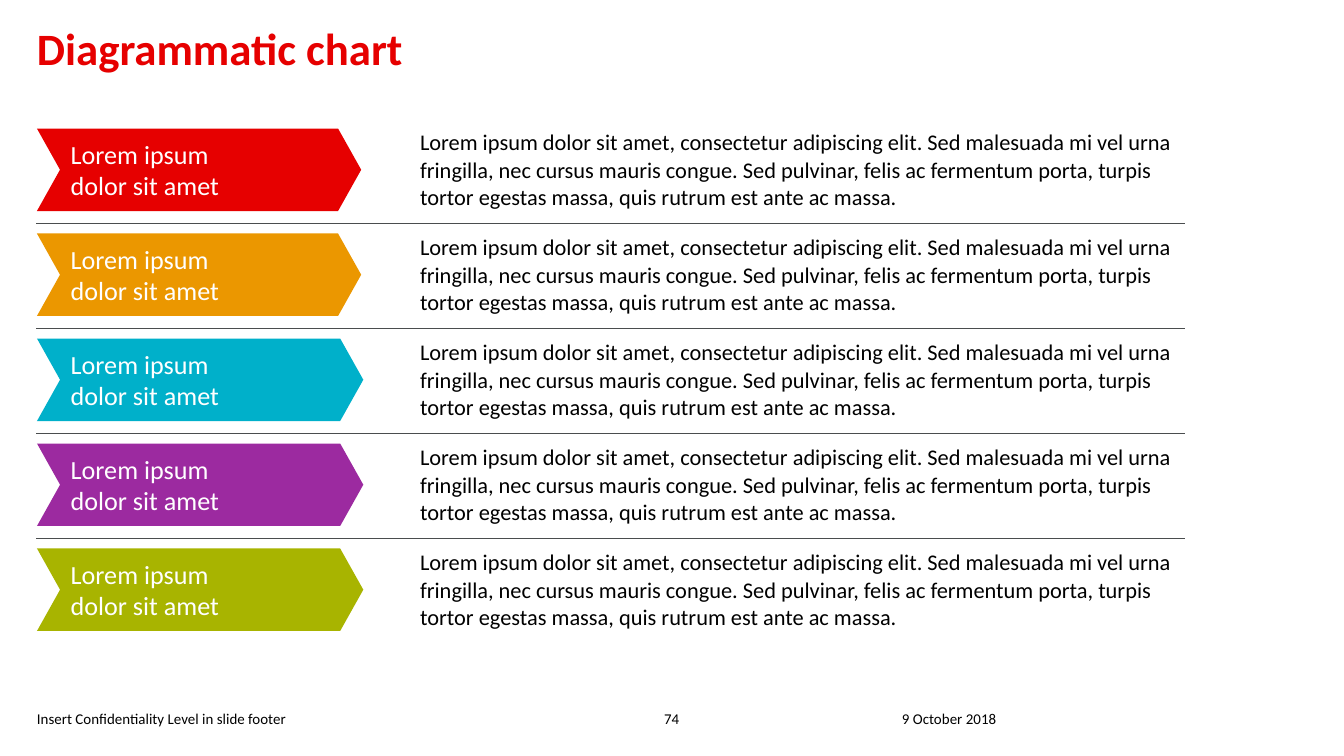
from dataclasses import dataclass

from lxml.etree import SubElement
from pptx import Presentation
from pptx.dml.color import RGBColor
from pptx.enum.shapes import MSO_SHAPE
from pptx.enum.text import MSO_ANCHOR, MSO_AUTO_SIZE, PP_ALIGN
from pptx.oxml.ns import qn
from pptx.util import Pt


@dataclass(frozen=True)
class Theme:
    """Colours, type sizes and font of the slide."""

    font: str = "Calibri"
    title_color: str = "E60000"
    text_color: str = "000000"
    label_color: str = "FFFFFF"
    rule_color: str = "4A4D4E"
    chevron_colors: tuple = ("E60000", "EB9700", "00B0CA", "9C2AA0", "A8B400")
    title_size: float = 24
    label_size: float = 14
    body_size: float = 12
    footer_size: float = 8
    rule_width: float = 0.5


class SlideBuilder:
    """Adds styled elements to one slide, with lengths in points."""

    def __init__(self, slide, theme):
        """Keep the slide and its theme."""
        self.slide = slide
        self.theme = theme

    def fill_text(self, text_frame, text, size, color, anchor, margins, align=PP_ALIGN.LEFT, bold=False):
        """Fill a text frame with one styled paragraph and return it."""
        text_frame.word_wrap = True
        text_frame.auto_size = MSO_AUTO_SIZE.NONE
        text_frame.vertical_anchor = anchor
        (text_frame.margin_left, text_frame.margin_top,
         text_frame.margin_right, text_frame.margin_bottom) = map(Pt, margins)
        paragraph = text_frame.paragraphs[0]
        paragraph.text = text
        paragraph.alignment = align
        self.style(paragraph, size, color, bold)
        return paragraph

    def style(self, paragraph, size, color, bold=False):
        """Set the font of a paragraph."""
        font = paragraph.font
        font.name = self.theme.font
        font.size = Pt(size)
        font.bold = bold
        font.color.rgb = RGBColor.from_string(color)

    def title(self, text, left, top, width, height):
        """Place and fill the title placeholder."""
        title = self.slide.shapes.title
        title.left, title.top, title.width, title.height = map(Pt, (left, top, width, height))
        paragraph = self.fill_text(title.text_frame, text, self.theme.title_size, self.theme.title_color,
                                   MSO_ANCHOR.TOP, (0, 0, 0, 0), bold=True)
        paragraph.line_spacing = 0.8

    def footer(self, text, left, width, align=PP_ALIGN.LEFT):
        """Add a text box on the footer line."""
        box = self.slide.shapes.add_textbox(Pt(left), Pt(370.8), Pt(width), Pt(18.7))
        self.fill_text(box.text_frame, text, self.theme.footer_size, self.theme.text_color,
                       MSO_ANCHOR.BOTTOM, (0, 0, 0, 0), align)

    def rule(self, cell, side):
        """Draw one border of a table cell."""
        line = SubElement(cell._tc.get_or_add_tcPr(), qn(f"a:{side}"), w=str(Pt(self.theme.rule_width)))
        fill = SubElement(line, qn("a:solidFill"))
        SubElement(fill, qn("a:srgbClr"), val=self.theme.rule_color)

    def table(self, texts, left, top, column_widths, row_height):
        """Add a table with an empty first column and rules between rows."""
        count = len(texts)
        frame = self.slide.shapes.add_table(count, len(column_widths), Pt(left), Pt(top),
                                            Pt(sum(column_widths)), Pt(row_height * count))
        table = frame.table
        table.first_row = table.horz_banding = False
        for column, width in zip(table.columns, column_widths):
            column.width = Pt(width)
        for index, (row, text) in enumerate(zip(table.rows, texts)):
            row.height = Pt(row_height)
            for cell in row.cells:
                if index > 0:
                    self.rule(cell, "lnT")
                if index < count - 1:
                    self.rule(cell, "lnB")
                cell.fill.background()
            cell = table.cell(index, 1)
            cell.vertical_anchor = MSO_ANCHOR.MIDDLE
            cell.margin_left, cell.margin_right = Pt(7.2), 0
            cell.margin_top = cell.margin_bottom = Pt(2.9)
            paragraph = cell.text_frame.paragraphs[0]
            paragraph.text = text
            paragraph.space_after = Pt(6)
            self.style(paragraph, self.theme.body_size, self.theme.text_color)

    def chevron(self, text, color, left, top, width, height):
        """Add a filled chevron with a label."""
        shape = self.slide.shapes.add_shape(MSO_SHAPE.CHEVRON, Pt(left), Pt(top), Pt(width), Pt(height))
        shape.adjustments[0] = 0.28
        shape.shadow.inherit = False
        shape.fill.solid()
        shape.fill.fore_color.rgb = RGBColor.from_string(color)
        shape.line.fill.background()
        self.fill_text(shape.text_frame, text, self.theme.label_size, self.theme.label_color,
                       MSO_ANCHOR.MIDDLE, (5.7, 2.9, 2.9, 2.9))


def main():
    """Build and save the slide."""
    presentation = Presentation()
    presentation.slide_width, presentation.slide_height = Pt(720), Pt(405)
    slide = presentation.slides.add_slide(presentation.slide_layouts[5])
    theme = Theme()
    builder = SlideBuilder(slide, theme)

    left, table_top, row_height = 19.8, 63.25, 56.25
    description = (
        "Lorem ipsum dolor sit amet, consectetur adipiscing elit. Sed malesuada mi vel urna fringilla, "
        "nec cursus mauris congue. Sed pulvinar, felis ac fermentum porta, turpis tortor egestas massa, "
        "quis rutrum est ante ac massa."
    )

    builder.title("Diagrammatic chart", left, 16.6, 680, 52.6)
    builder.footer("Insert Confidentiality Level in slide footer", left, 164)
    builder.footer("74", 343.6, 32.4, PP_ALIGN.CENTER)
    builder.footer("9 October 2018", 483.2, 168)
    builder.table([description] * len(theme.chevron_colors), left, table_top, (198, 416.7), row_height)
    for index, color in enumerate(theme.chevron_colors):
        top = table_top + 5.6 + index * row_height
        width = 173.7 if index < 2 else 174.8
        builder.chevron("Lorem ipsum\vdolor sit amet", color, left, top, width, 44.2)

    presentation.save("out.pptx")


if __name__ == "__main__":
    main()
